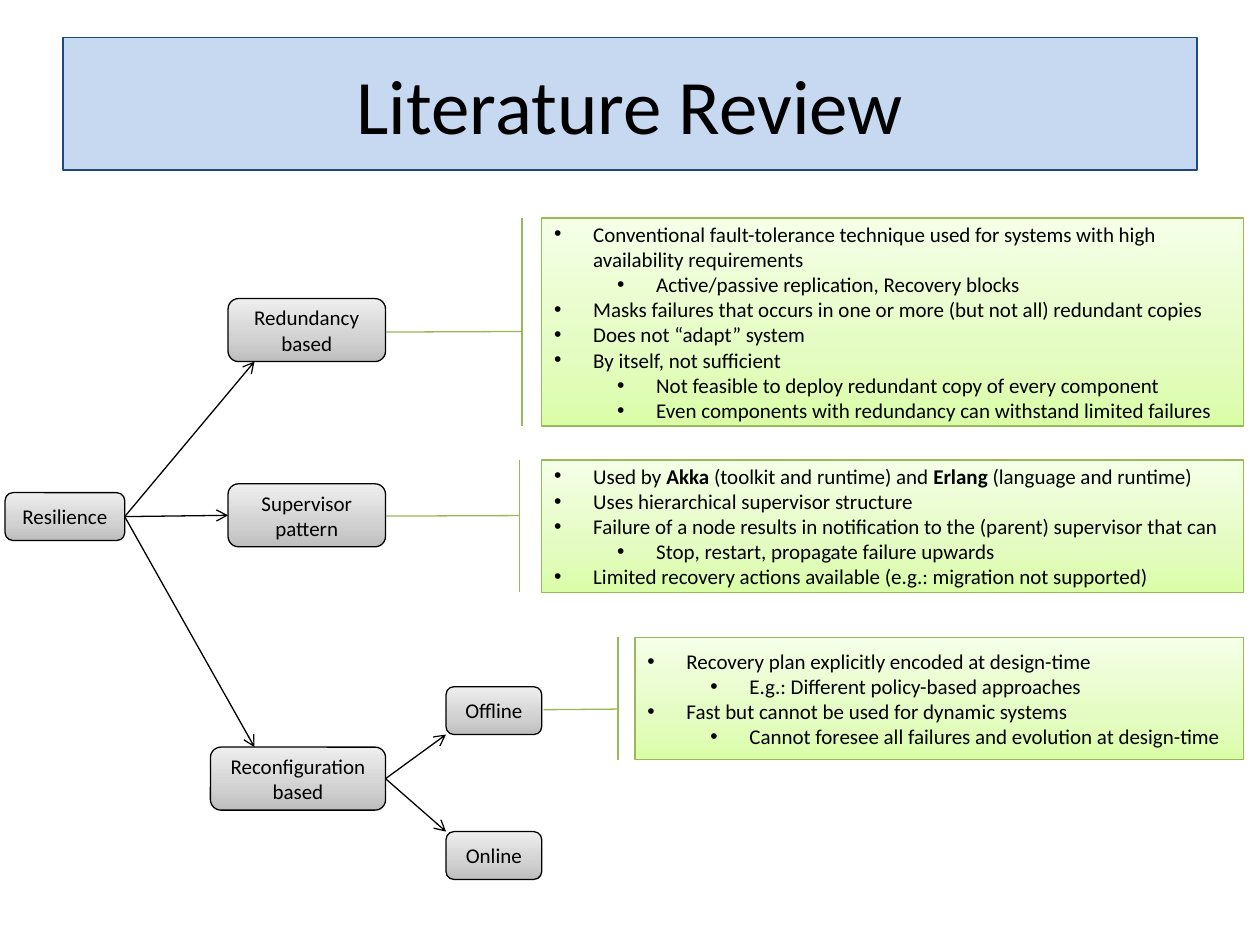
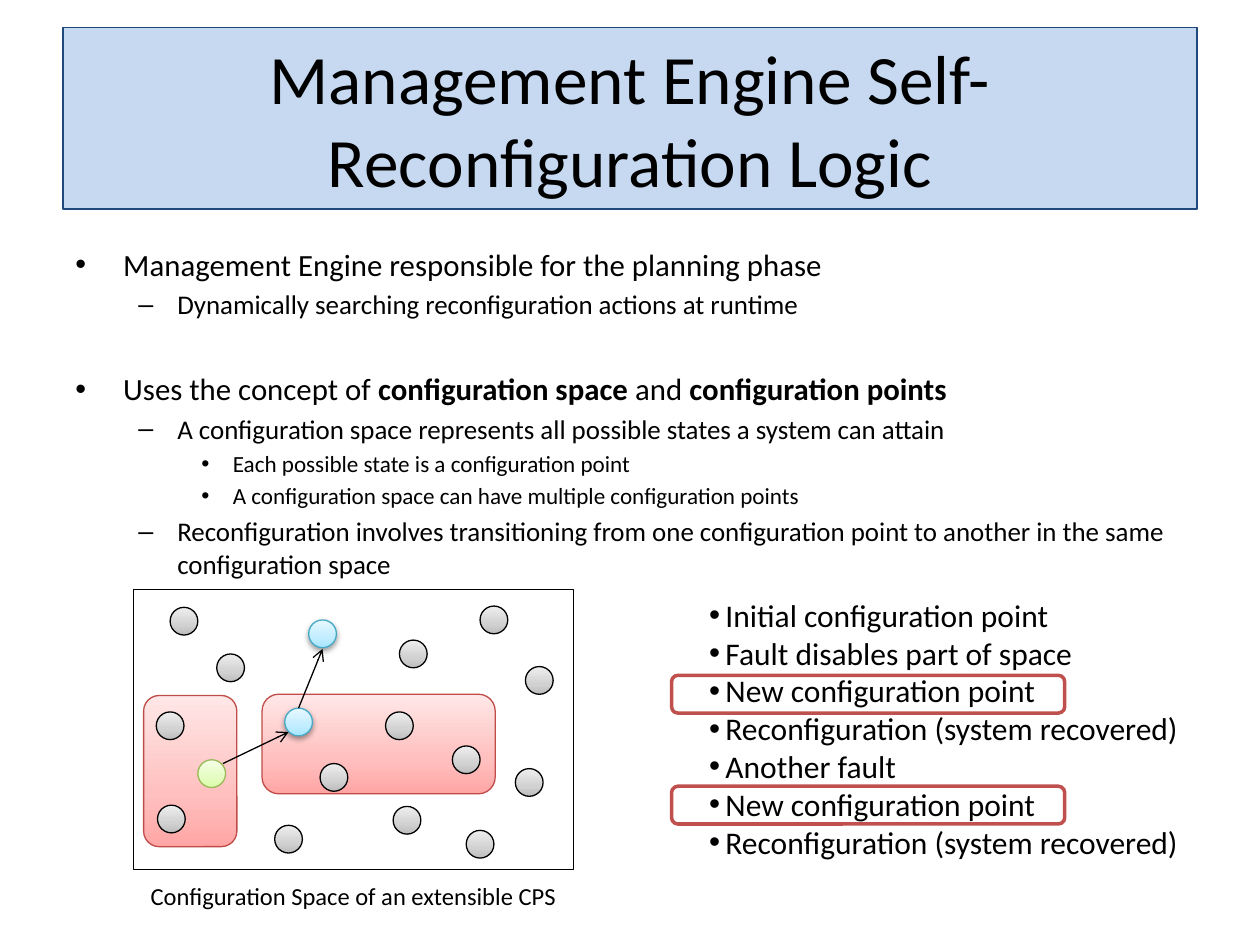
import copy
import pptx
import pptx.dml.color
import pptx.enum.shapes
import pptx.enum.text
import pptx.oxml.ns
import pptx.util
from lxml import etree

PX = 9144  # one px is a hundredth of an inch
FONT = "Calibri"
BLACK = "000000"
RED = "C0504D"
FORM = pptx.enum.shapes.MSO_SHAPE
ALIGN = pptx.enum.text.PP_ALIGN
ANCHOR = pptx.enum.text.MSO_ANCHOR

# Each tint: gradient colours from bottom to top, then the line colour
STOPS = (0, 0.35, 1)
GREY = (("BDBDBD", "D1D1D1", "EEEEEE"), BLACK)
GREEN = (("DAFDA7", "E4FCC2", "F5FFE7"), "98B955")
PINK = (("FFA6A5", "FFC0BF", "FFE7E7"), "BF4C48")
BLUE = (("A7E6FF", "C1EDFF", "E7F8FF"), "46AAC5")
TITLE = ("C6D9F1", "1F497D")

# Each list level: left margin, hanging indent, bullet, text size
NOTE = ((31, 31, "•", 12), (81, 31, "•", 12))
BODY = ((38, 38, "•", 17.6), (81, 31, "–", 15.4), (125, 25, "•", 13.2))
STEP = ((13, 13, "•", 18),)


def emu(px):
    return round(px * PX)


def color(code):
    return pptx.dml.color.RGBColor.from_string(code)


def put(obj, form):
    for name, value in form.items():
        setattr(obj, name, value)


def child(parent, tag, **attrs):
    node = etree.SubElement(parent, pptx.oxml.ns.qn(tag))
    for name, value in attrs.items():
        node.set(name, str(value))
    return node


# Text
def write(par, text, size):
    """Fill a paragraph; stars switch bold, line ends become breaks."""
    for i, part in enumerate(text.split("*")):
        for j, line in enumerate(part.split("\n")):
            if j:
                par.add_line_break()
            run = par.add_run()
            run.text = line
            put(run.font, {"name": FONT, "size": pptx.util.Pt(size), "bold": i % 2 == 1})
            run.font.color.rgb = color(BLACK)


def label(frame, text, size):
    put(frame, {"word_wrap": True, "vertical_anchor": ANCHOR.MIDDLE})
    par = frame.paragraphs[0]
    par.alignment = ALIGN.CENTER
    write(par, text, size)


def bullets(frame, rows, levels, anchor=ANCHOR.TOP, space=0):
    """Rows are (level, text), with an optional extra gap above in points."""
    put(frame, {"word_wrap": True, "vertical_anchor": anchor})
    for i, (level, text, *gap) in enumerate(rows):
        par = frame.add_paragraph() if i else frame.paragraphs[0]
        left, hang, mark, size = levels[level]
        props = par._p.get_or_add_pPr()
        props.set("marL", str(emu(left)))
        props.set("indent", str(-emu(hang)))
        child(props, "a:buFont", typeface="Arial")
        child(props, "a:buChar", char=mark)
        put(par, {"level": level, "alignment": ALIGN.LEFT})
        if i and (space or gap):
            par.space_before = pptx.util.Pt(space * size + sum(gap))
        write(par, text, size)


def textbox(slide, box):
    return slide.shapes.add_textbox(*map(emu, box)).text_frame


# Shapes
def shade(shape, tones):
    fill = shape.fill
    fill.gradient()
    fill.gradient_angle = 90
    stops = shape._element.spPr.find(".//" + pptx.oxml.ns.qn("a:gsLst"))
    stops.insert(1, copy.deepcopy(stops[0]))
    for stop, place, tone in zip(fill.gradient_stops, STOPS, tones):
        stop.position = place
        stop.color.rgb = color(tone)


def shape(slide, kind, box, tint, width=0.75):
    """Tint is (fill, line); fill is a colour, a gradient or None."""
    item = slide.shapes.add_shape(kind, *map(emu, box))
    item.shadow.inherit = False
    fill, line = tint
    if fill is None:
        item.fill.background()
    elif isinstance(fill, tuple):
        shade(item, fill)
    else:
        item.fill.solid()
        item.fill.fore_color.rgb = color(fill)
    item.line.color.rgb = color(line)
    item.line.width = pptx.util.Pt(width)
    return item


def title(slide, text, top, height, size):
    band = shape(slide, FORM.RECTANGLE, (50, top, 900, height), TITLE)
    label(band.text_frame, text, size)


def node(slide, text, box):
    item = shape(slide, FORM.ROUNDED_RECTANGLE, box, GREY)
    label(item.text_frame, text, 12)


def callout(slide, box, points, rows):
    item = shape(slide, FORM.LINE_CALLOUT_1_BORDER_AND_ACCENT_BAR, box, GREEN)
    for i, point in enumerate(points):
        item.adjustments[i] = point
    bullets(item.text_frame, rows, NOTE, ANCHOR.MIDDLE)


def arrow(slide, start, end):
    kind = pptx.enum.shapes.MSO_CONNECTOR.STRAIGHT
    item = slide.shapes.add_connector(kind, *map(emu, start + end))
    item.line.color.rgb = color(BLACK)
    item.line.width = pptx.util.Pt(0.75)
    child(item.line._get_or_add_ln(), "a:tailEnd", type="arrow")
    child(item._element.spPr, "a:effectLst")


def dot(slide, left, top, tint, glow=False):
    item = shape(slide, FORM.OVAL, (left, top, 22, 22), tint)
    if glow:
        effects = item._element.spPr.find(pptx.oxml.ns.qn("a:effectLst"))
        cast = child(effects, "a:outerShdw", blurRad=40000, dist=20000,
                     dir=5400000, rotWithShape=0)
        child(child(cast, "a:srgbClr", val=BLACK), "a:alpha", val=38000)


# Slides
def review(slide):
    title(slide, "Literature Review", 30, 105, 44)

    # Tree of approaches
    for text, box in (
        ("Resilience", (4, 391, 95, 38)),
        ("Redundancy\nbased", (181, 237, 125, 50)),
        ("Supervisor\npattern", (181, 384, 125, 50)),
        ("Reconfiguration\nbased", (167, 593, 139, 50)),
        ("Offline", (354, 545, 76, 38)),
        ("Online", (354, 660, 76, 38)),
    ):
        node(slide, text, box)

    # Notes on each approach
    callout(slide, (430, 173, 557, 165), (0.546, -0.028, 0.549, -0.222), (
        (0, "Conventional fault-tolerance technique used for systems with high "
            "availability requirements"),
        (1, "Active/passive replication, Recovery blocks"),
        (0, "Masks failures that occurs in one or more (but not all) redundant copies"),
        (0, "Does not “adapt” system"),
        (0, "By itself, not sufficient"),
        (1, "Not feasible to deploy redundant copy of every component"),
        (1, "Even components with redundancy can withstand limited failures"),
    ))
    callout(slide, (430, 365, 557, 105), (0.421, -0.032, 0.425, -0.222), (
        (0, "Used by *Akka *(toolkit and runtime) and *Erlang* (language and runtime)"),
        (0, "Uses hierarchical supervisor structure"),
        (0, "Failure of a node results in notification to the (parent) supervisor that can"),
        (1, "Stop, restart, propagate failure upwards"),
        (0, "Limited recovery actions available (e.g.: migration not supported)"),
    ))
    callout(slide, (504, 506, 483, 97), (0.586, -0.028, 0.591, -0.15), (
        (0, "Recovery plan explicitly encoded at design-time"),
        (1, "E.g.: Different policy-based approaches"),
        (0, "Fast but cannot be used for dynamic systems"),
        (1, "Cannot foresee all failures and evolution at design-time"),
    ))

    # Branches
    for start, ends in (
        ((99, 410), ((202, 287), (181, 409), (202, 593))),
        ((306, 618), ((354, 583), (354, 660))),
    ):
        for end in ends:
            arrow(slide, start, end)


def logic(slide):
    # Faulty regions
    for box in ((208, 551, 185, 79), (114, 552, 74, 120)):
        shape(slide, FORM.ROUNDED_RECTANGLE, box, PINK)

    title(slide, "Management Engine Self-Reconfiguration Logic", 22, 144, 39.6)
    bullets(textbox(slide, (50, 190, 900, 244)), (
        (0, "Management Engine responsible for the planning phase"),
        (1, "Dynamically searching reconfiguration actions at runtime"),
        (0, "Uses the concept of *configuration space* and *configuration points*", 25),
        (1, "A configuration space represents all possible states a system can attain"),
        (2, "Each possible state is a configuration point"),
        (2, "A configuration space can have multiple configuration points"),
        (1, "Reconfiguration involves transitioning from one configuration point "
            "to another in the same configuration space"),
    ), BODY, space=0.2)

    # Configuration space
    shape(slide, FORM.RECTANGLE, (106, 468, 349, 222), (None, BLACK))
    caption = textbox(slide, (105, 694, 351, 34))
    label(caption, "Configuration Space of an extensible CPS", 14)
    for left, top in (
        (172, 519), (306, 565), (381, 481), (218, 655), (124, 565), (317, 508), (125, 639),
        (254, 606), (359, 592), (312, 640), (370, 659), (417, 529), (409, 610), (135, 482),
    ):
        dot(slide, left, top, GREY)
    dot(slide, 157, 603, GREEN)
    for left, top in ((226, 562), (245, 492)):
        dot(slide, left, top, BLUE, glow=True)
    arrow(slide, (177, 606), (229, 581))
    arrow(slide, (237, 562), (256, 515))

    # Steps of recovery
    point = "New configuration point"
    done = "Reconfiguration (system recovered)"
    steps = ("Initial configuration point", "Fault disables part of space", point, done,
             "Another fault", point, done)
    bullets(textbox(slide, (553, 468, 397, 222)), [(0, step) for step in steps], STEP)
    for top in (536, 624):
        shape(slide, FORM.ROUNDED_RECTANGLE, (533, top, 312, 30), (None, RED), 2)


def main():
    deck = pptx.Presentation()
    put(deck, {"slide_width": emu(1000), "slide_height": emu(750)})
    for build in (review, logic):
        build(deck.slides.add_slide(deck.slide_layouts[6]))
    deck.save("out.pptx")


if __name__ == "__main__":
    main()
